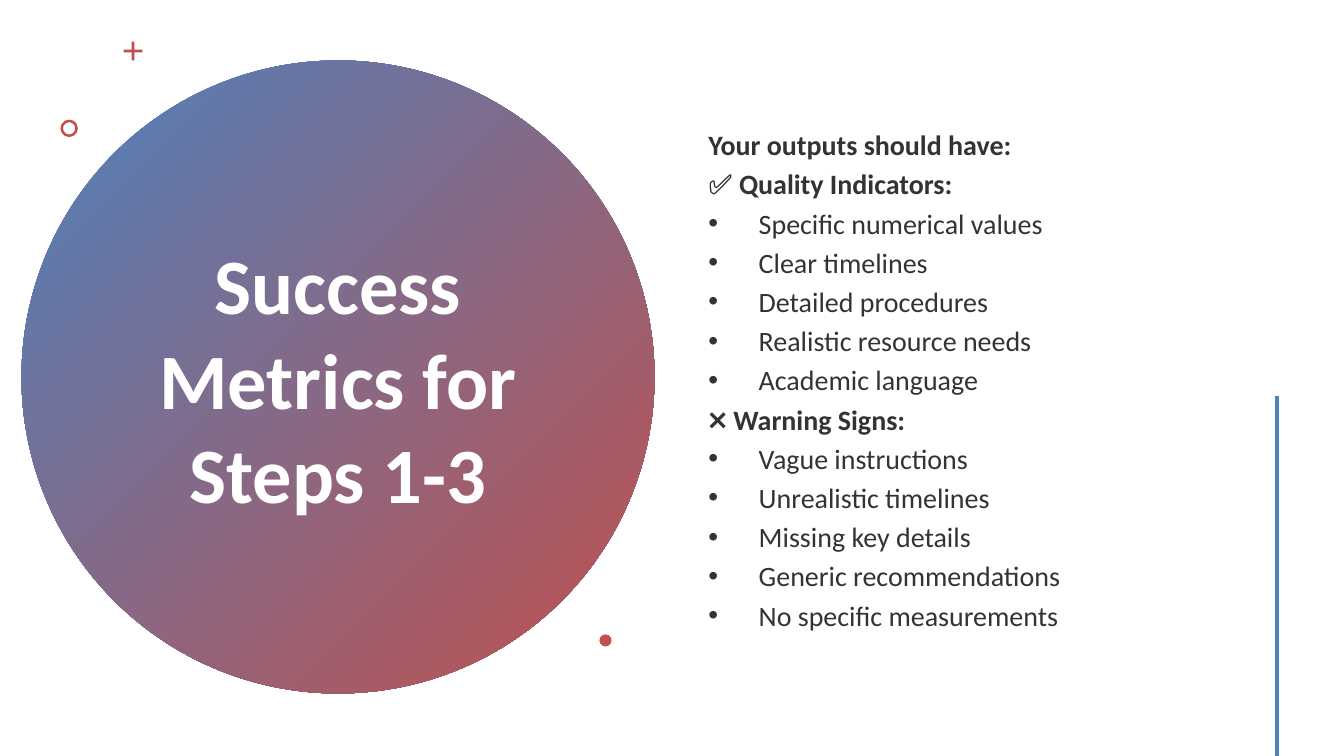
"""Build the slide on success metrics for steps 1-3."""
from lxml.etree import SubElement
from pptx import Presentation
from pptx.dml.color import RGBColor
from pptx.enum.shapes import MSO_CONNECTOR, MSO_SHAPE
from pptx.enum.text import MSO_ANCHOR, MSO_AUTO_SIZE, PP_ALIGN
from pptx.oxml.ns import qn
from pptx.util import Inches, Pt

BLUE = RGBColor(0x4F, 0x81, 0xBD)
RED = RGBColor(0xC0, 0x50, 0x4D)
WHITE = RGBColor(0xFF, 0xFF, 0xFF)
GREY = RGBColor(0x33, 0x33, 0x33)
FONT = "Calibri"
WIDTH = Inches(10)
HEIGHT = WIDTH * 9 // 16

GROUPS = [
    ("Your outputs should have:", []),
    ("✅ Quality Indicators:", [
        "Specific numerical values", "Clear timelines", "Detailed procedures",
        "Realistic resource needs", "Academic language"]),
    ("❌ Warning Signs:", [
        "Vague instructions", "Unrealistic timelines", "Missing key details",
        "Generic recommendations", "No specific measurements"]),
]
MARKS = [
    (MSO_SHAPE.CROSS, 0.92, 0.31, 0.14, 0.43),
    (MSO_SHAPE.DONUT, 0.45, 0.89, 0.13, 0.15),
    (MSO_SHAPE.OVAL, 4.46, 4.72, 0.09, None),
]


def place(shape, left, top, width, height):
    shape.left, shape.top = Inches(left), Inches(top)
    shape.width, shape.height = Inches(width), Inches(height)
    shape.text_frame.word_wrap = True
    shape.text_frame.auto_size = MSO_AUTO_SIZE.NONE
    shape.text_frame.vertical_anchor = MSO_ANCHOR.MIDDLE


def style(para, size, color, bold):
    for run in para.runs:
        run.font.name = FONT
        run.font.size = Pt(size)
        run.font.bold = bold
        run.font.color.rgb = color


deck = Presentation()
deck.slide_width, deck.slide_height = WIDTH, HEIGHT
slide = deck.slides.add_slide(deck.slide_layouts[1])
shapes = slide.shapes
title, body = shapes.title, slide.placeholders[1]

disc = shapes.add_shape(
    MSO_SHAPE.OVAL, Inches(0.16), Inches(0.45), Inches(4.71), Inches(4.71))
disc.shadow.inherit = False
disc.line.fill.background()
disc.fill.gradient()
disc.fill.gradient_angle = 315
for stop, color in zip(disc.fill.gradient_stops, (BLUE, RED)):
    stop.color.rgb = color
title.element.addprevious(disc.element)

place(title, 1.02, 1.06, 2.99, 3.5)
title.text_frame.text = "Success Metrics for Steps 1-3"
head = title.text_frame.paragraphs[0]
head.alignment = PP_ALIGN.CENTER
style(head, 42, WHITE, True)

place(body, 5.17, 0.43, 3.91, 4.79)
rows = [(text, i == 0) for name, items in GROUPS
        for i, text in enumerate([name, *items])]
body.text_frame.text = "\n".join(text for text, bold in rows)
for para, (text, bold) in zip(body.text_frame.paragraphs, rows):
    style(para, 15, GREY, bold)
    if bold:
        props = para._p.get_or_add_pPr()
        props.set("marL", "0")
        props.set("indent", "0")
        SubElement(props, qn("a:buNone"))

for kind, left, top, size, ratio in MARKS:
    mark = shapes.add_shape(
        kind, Inches(left), Inches(top), Inches(size), Inches(size))
    mark.shadow.inherit = False
    mark.fill.solid()
    mark.fill.fore_color.rgb = RED
    mark.line.fill.background()
    if ratio:
        mark.adjustments[0] = ratio

line = shapes.add_connector(
    MSO_CONNECTOR.STRAIGHT, Inches(9.5), Inches(2.95), Inches(9.5), HEIGHT)
line.line.color.rgb = BLUE
line.line.width = Pt(2)
SubElement(line.element.spPr, qn("a:effectLst"))

deck.save("out.pptx")
